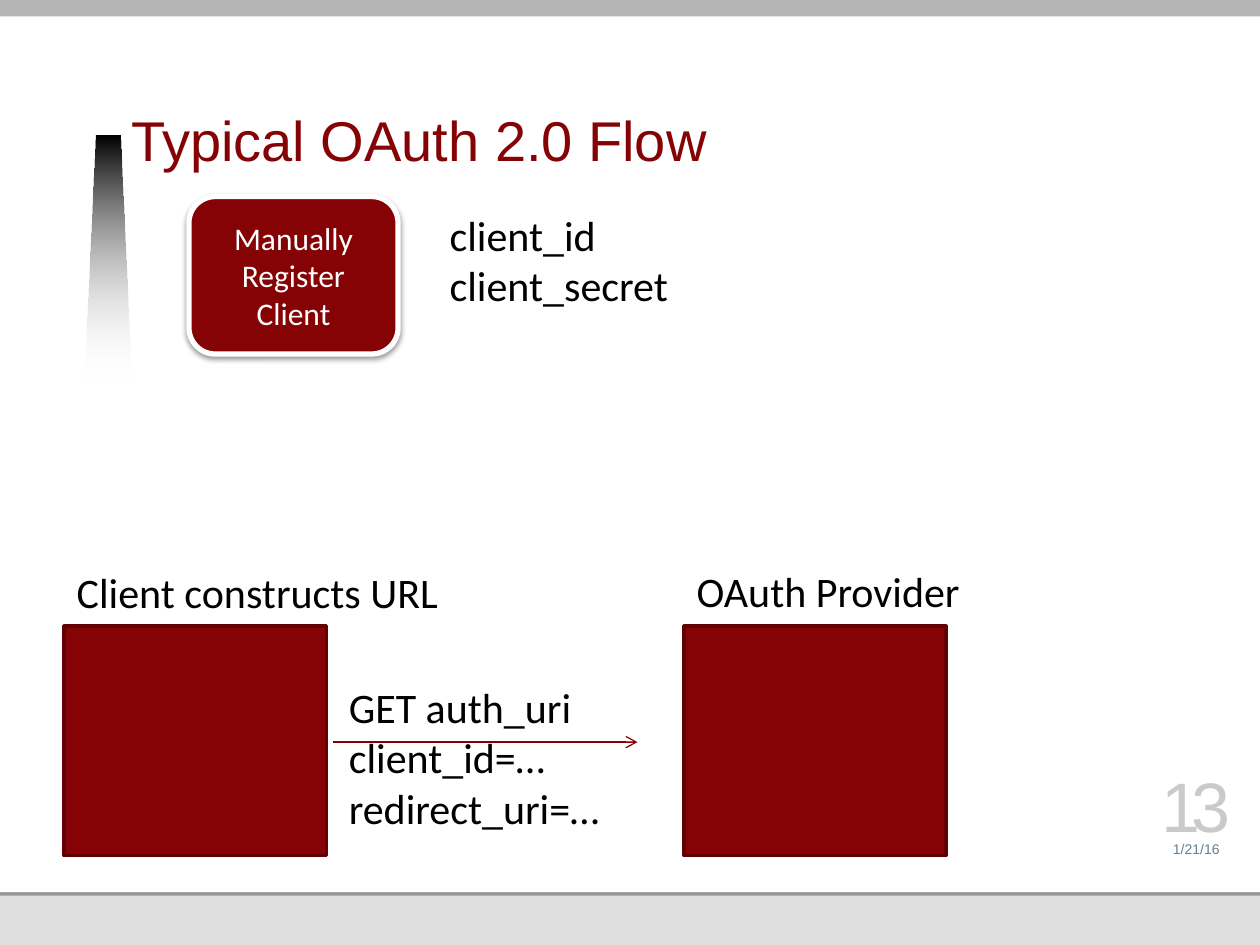
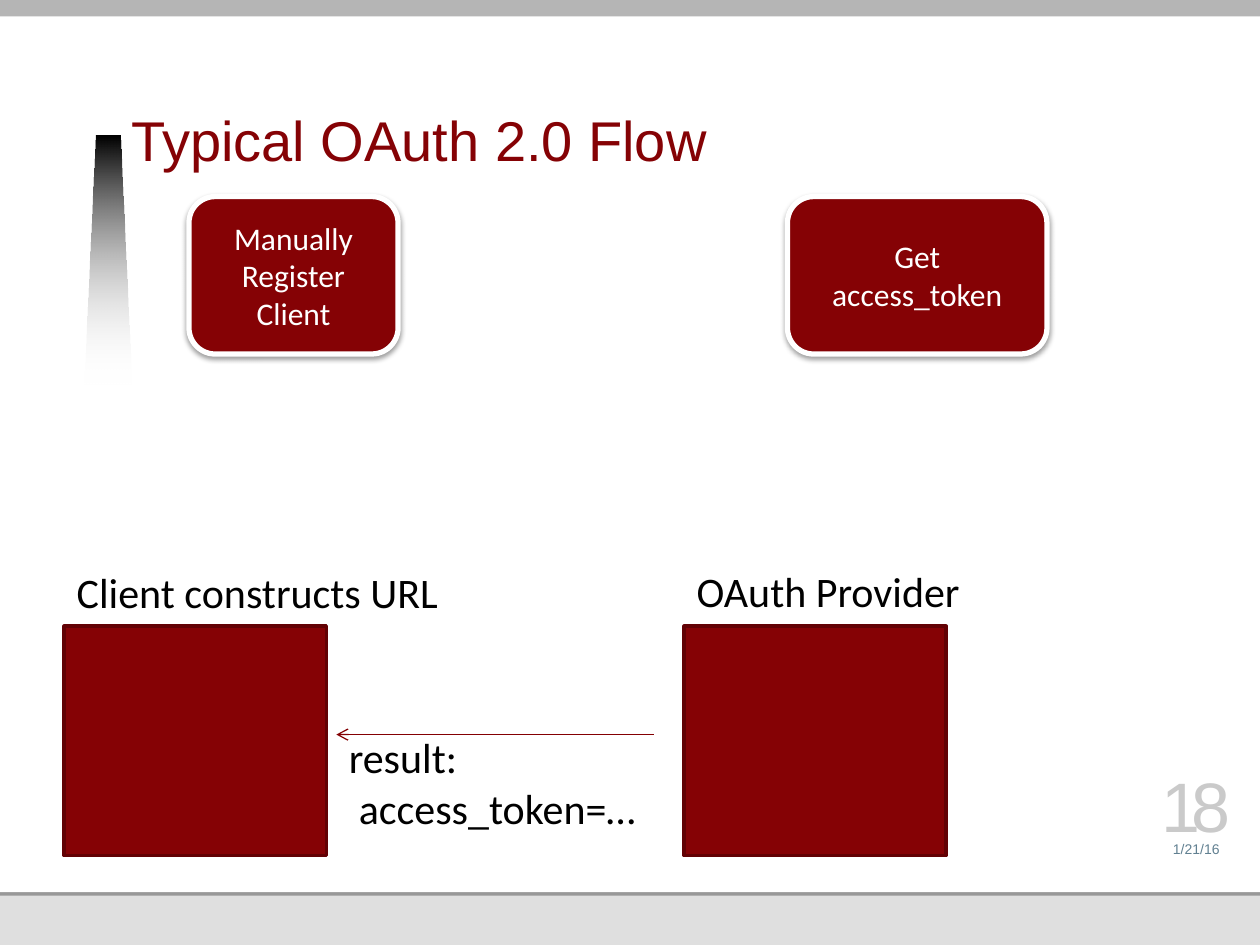
"""Build two slides on the typical OAuth 2.0 flow."""
from dataclasses import dataclass

from lxml import etree
from pptx import Presentation
from pptx.dml.color import RGBColor
from pptx.enum.shapes import MSO_CONNECTOR, MSO_SHAPE
from pptx.enum.text import MSO_ANCHOR, MSO_AUTO_SIZE, PP_ALIGN
from pptx.oxml.ns import qn
from pptx.util import Pt

PX = 9144
RECT, ROUND = MSO_SHAPE.RECTANGLE, MSO_SHAPE.ROUNDED_RECTANGLE
STRAIGHT = MSO_CONNECTOR.STRAIGHT
LEFT, CENTER = PP_ALIGN.LEFT, PP_ALIGN.CENTER
TOP, MIDDLE, BOTTOM = MSO_ANCHOR.TOP, MSO_ANCHOR.MIDDLE, MSO_ANCHOR.BOTTOM
FIT, FIXED = MSO_AUTO_SIZE.SHAPE_TO_FIT_TEXT, MSO_AUTO_SIZE.NONE
COLORS = {
    "red": "850205", "edge": "620104", "arrow": "840003",
    "white": "FFFFFF", "black": "000000", "band": "B5B5B5",
    "rule": "989898", "foot": "DFDFDF", "date": "618091", "number": "CACACA",
}


@dataclass(frozen=True)
class Box:
    left: int
    top: int
    width: int
    height: int

    def emu(self) -> list[int]:
        return [n * PX for n in (self.left, self.top, self.width, self.height)]


@dataclass(frozen=True)
class Style:
    size: int
    color: str
    font: str = "Calibri"
    align: PP_ALIGN = LEFT
    anchor: MSO_ANCHOR = TOP


@dataclass(frozen=True)
class Label:
    text: str
    box: Box
    indent: int = 0
    fill: str = ""


@dataclass(frozen=True)
class Page:
    number: str
    steps: tuple[Label, ...]
    notes: tuple[Label, ...]
    start: int
    end: int
    level: int


BODY = Style(24, "black")
STEP = Style(18, "white", align=CENTER, anchor=MIDDLE)
TITLE = Style(32, "red", "Arial", anchor=BOTTOM)
DATE = Style(8, "date", "Arial", CENTER, BOTTOM)
NUMBER = Style(40, "number", "Arial", CENTER, BOTTOM)

BANDS = {
    "foot": Box(0, 0, 1000, 750),
    "rule": Box(0, 178, 1000, 533),
    "white": Box(0, 0, 1000, 708),
    "band": Box(0, 0, 1000, 13),
}
WEDGE = [(67, 305), (76, 108), (95, 108), (104, 305)]
PARTIES = [Box(left, 497, 208, 182) for left in (51, 543)]
HEADS = (
    Label("Client constructs URL", Box(51, 445, 311, 50), fill="white"),
    Label("OAuth Provider", Box(543, 444, 232, 50), fill="white"),
)
SIGNUP = Label("Manually Register Client", Box(150, 156, 166, 125))
PAGES = (
    Page("13", (SIGNUP,),
         (Label("client_id\nclient_secret", Box(347, 161, 196, 91), fill="white"),
          Label("GET auth_uri\nclient_id=…\nredirect_uri=…", Box(267, 536, 224, 131))),
         264, 506, 589),
    Page("18", (SIGNUP, Label("Get access_token", Box(625, 156, 206, 125))),
         (Label("result:\naccess_token=…", Box(267, 576, 253, 91), indent=8),),
         519, 267, 583),
)


def rgb(name: str) -> RGBColor:
    return RGBColor.from_string(COLORS[name])


def write(shape, text: str, style: Style) -> None:
    frame = shape.text_frame
    frame.text = text
    frame.vertical_anchor = style.anchor
    for para in frame.paragraphs:
        para.alignment = style.align
        for run in para.runs:
            run.font.size = Pt(style.size)
            run.font.name = style.font
            run.font.color.rgb = rgb(style.color)


def trim(frame, bottom: int = 0) -> None:
    frame.auto_size = FIXED
    frame.word_wrap = True
    frame.margin_left = frame.margin_top = frame.margin_right = 0
    frame.margin_bottom = bottom * PX


def add_block(slide, kind: MSO_SHAPE, box: Box, fill: str, edge: str = "", width: int = 0):
    shape = slide.shapes.add_shape(kind, *box.emu())
    shape.shadow.inherit = False
    shape.fill.solid()
    shape.fill.fore_color.rgb = rgb(fill)
    if edge:
        shape.line.color.rgb = rgb(edge)
        shape.line.width = Pt(width)
    else:
        shape.line.fill.background()
    return shape


def add_step(slide, step: Label) -> None:
    shape = add_block(slide, ROUND, step.box, "red", "white", 3)
    write(shape, step.text, STEP)
    effects = shape.element.spPr.find(qn("a:effectLst"))
    glow = etree.SubElement(effects, qn("a:outerShdw"), blurRad="39370",
                            dist="20320", dir="5400000", rotWithShape="0")
    tint = etree.SubElement(glow, qn("a:srgbClr"), val=COLORS["black"])
    etree.SubElement(tint, qn("a:alpha"), val="38000")


def add_note(slide, note: Label) -> None:
    if note.fill:
        shape = add_block(slide, RECT, note.box, note.fill)
    else:
        shape = slide.shapes.add_textbox(*note.box.emu())
    write(shape, note.text, BODY)
    shape.text_frame.word_wrap = False
    shape.text_frame.auto_size = FIT
    if note.indent:
        last = list(shape.element.iter(qn("a:pPr")))[-1]
        last.set("marL", str(note.indent * PX))


def add_mark(slide, text: str, box: Box, style: Style, pitch: int = 0) -> None:
    shape = slide.shapes.add_textbox(*box.emu())
    write(shape, text, style)
    trim(shape.text_frame)
    for props in shape.element.iter(qn("a:rPr")):
        props.set("spc", str(pitch * 100))


def add_arrow(slide, start: int, end: int, level: int) -> None:
    line = slide.shapes.add_connector(STRAIGHT, start * PX, level * PX, end * PX, level * PX)
    line.line.color.rgb = rgb("arrow")
    line.line.width = Pt(0.75)
    props = line.element.spPr
    etree.SubElement(props.find(qn("a:ln")), qn("a:tailEnd"), type="arrow")
    etree.SubElement(props, qn("a:effectLst"))


def add_wedge(slide) -> None:
    path = slide.shapes.build_freeform(*WEDGE[0], scale=PX)
    path.add_line_segments(WEDGE[1:], close=True)
    shape = path.convert_to_shape()
    shape.shadow.inherit = False
    shape.line.fill.background()
    shape.fill.gradient()
    shape.fill.gradient_angle = 270
    for stop, name in zip(shape.fill.gradient_stops, ("black", "white")):
        stop.color.rgb = rgb(name)
    fade = list(shape.element.spPr.find(qn("a:gradFill")).iter(qn("a:srgbClr")))[-1]
    etree.SubElement(fade, qn("a:alpha"), val="0")


def add_title(slide) -> None:
    title = slide.shapes.title
    title.left, title.top, title.width, title.height = Box(104, 34, 687, 108).emu()
    write(title, "Typical OAuth 2.0 Flow", TITLE)
    trim(title.text_frame, 5)
    title.text_frame.paragraphs[0].line_spacing = Pt(34)
    title.element.getparent().append(title.element)


def add_frame(slide, number: str) -> None:
    for name, box in BANDS.items():
        add_block(slide, RECT, box, name)
    add_wedge(slide)
    add_title(slide)
    add_mark(slide, "1/21/16", Box(913, 658, 73, 22), DATE)
    add_mark(slide, number, Box(913, 616, 73, 56), NUMBER, -5)


def add_page(deck, page: Page) -> None:
    slide = deck.slides.add_slide(deck.slide_layouts[5])
    add_frame(slide, page.number)
    for box in PARTIES:
        add_block(slide, RECT, box, "red", "edge", 2)
    for note in HEADS + page.notes:
        add_note(slide, note)
    for step in page.steps:
        add_step(slide, step)
    add_arrow(slide, page.start, page.end, page.level)


def main() -> None:
    deck = Presentation()
    deck.slide_width, deck.slide_height = 1000 * PX, 750 * PX
    for page in PAGES:
        add_page(deck, page)
    deck.save("out.pptx")


if __name__ == "__main__":
    main()
